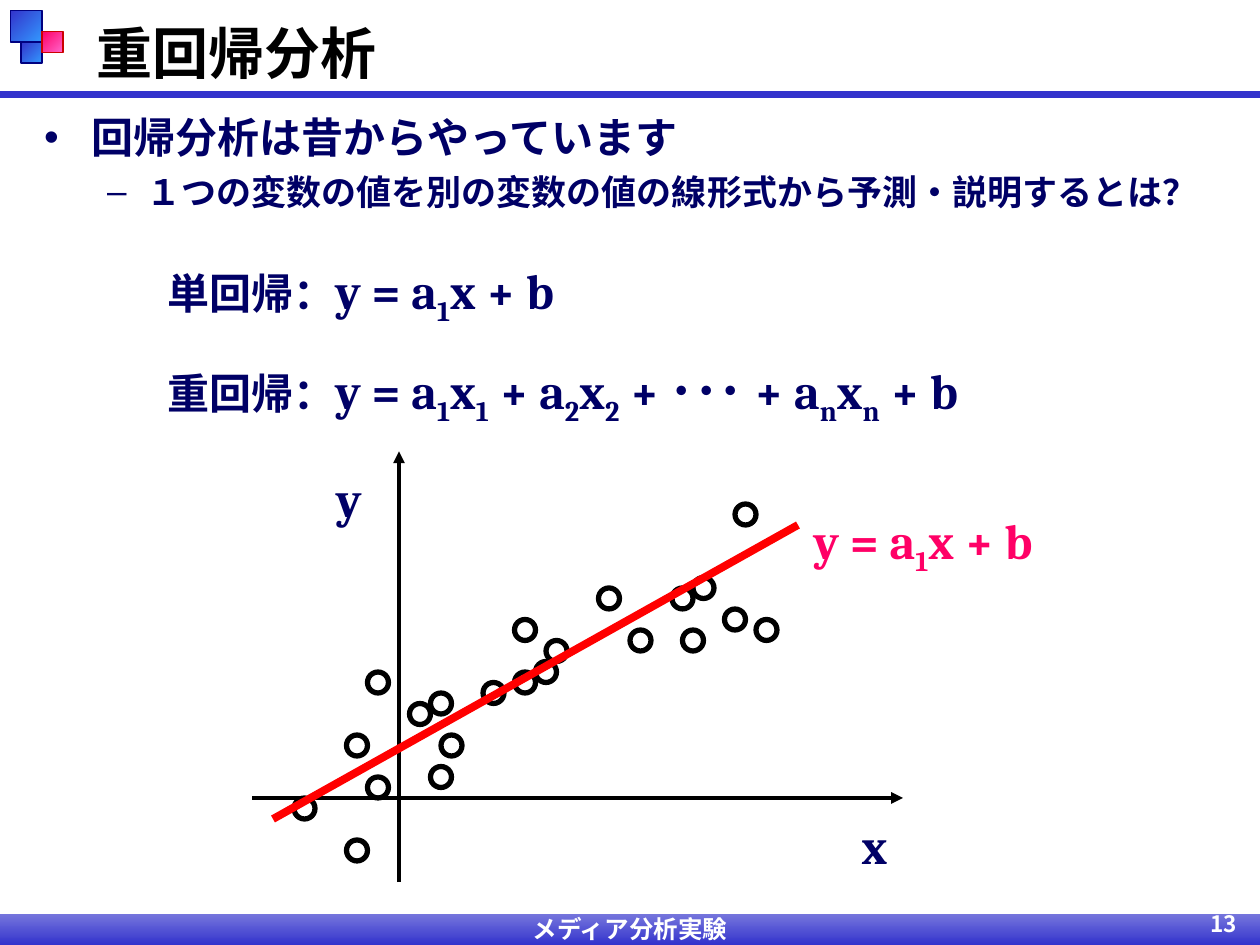
"""Build the multiple regression slide on a grid of 120 columns by 90 rows."""
from lxml.etree import SubElement
from pptx import Presentation
from pptx.dml.color import RGBColor
from pptx.enum.shapes import MSO_CONNECTOR, MSO_SHAPE
from pptx.enum.text import MSO_ANCHOR, MSO_AUTO_SIZE, PP_ALIGN
from pptx.oxml.ns import qn
from pptx.util import Inches, Pt

HUES = {
    "black": "000000", "white": "FFFFFF", "navy": "000066", "blue": "3333CC",
    "sky": "3399FF", "pale": "7777DD", "edge": "000080", "pink": "FF0066",
    "rose": "FF66CC", "wine": "CC0000", "red": "FF0000",
}
INK = {name: RGBColor.from_string(code) for name, code in HUES.items()}
GOTHIC, SERIF = "Noto Sans CJK JP", "Cambria"

deck = Presentation()
deck.slide_width, deck.slide_height = Inches(10), Inches(7.5)
unit = deck.slide_width / 120
slide = deck.slides.add_slide(deck.slide_layouts[1])
shapes = slide.shapes


def write(para, text, size, face, hue):
    """Add bold runs, with text between underscores set as subscript."""
    for pos, part in enumerate(text.split("_")):
        run = para.add_run()
        run.text = part
        font = run.font
        font.size, font.bold, font.name = Pt(size), True, face
        font.color.rgb = INK[hue]
        props = run._r.get_or_add_rPr()
        SubElement(props, qn("a:ea")).set("typeface", GOTHIC)
        if pos % 2:
            props.set("baseline", "-25000")


def draw(start, end, hue, width, arrow=False):
    """Add a straight line between two grid points."""
    ends = [round(n * unit) for n in (*start, *end)]
    line = shapes.add_connector(MSO_CONNECTOR.STRAIGHT, *ends)
    line.line.color.rgb, line.line.width = INK[hue], Pt(width)
    if arrow:
        SubElement(line.line._get_or_add_ln(), qn("a:tailEnd")).set("type", "triangle")
    SubElement(line._element.spPr, qn("a:effectLst"))


draw((0, 9), (120, 9), "blue", 4.5)
blocks = [
    ((0, 87, 120, 3), "pale", "blue", 270, None),
    ((2, 4, 2, 2), "blue", "sky", 315, "edge"),
    ((1, 1, 3, 3), "blue", "sky", 315, "edge"),
    ((4, 3, 2, 2), "pink", "rose", 315, "wine"),
]
for area, first, last, angle, edge in blocks:
    block = shapes.add_shape(MSO_SHAPE.RECTANGLE, *[round(n * unit) for n in area])
    block.shadow.inherit = False
    block.fill.gradient()
    block.fill.gradient_angle = angle
    for stop, hue in zip(block.fill.gradient_stops, (first, last)):
        stop.color.rgb = INK[hue]
    if edge:
        block.line.color.rgb, block.line.width = INK[edge], Pt(0.75)
    else:
        block.line.fill.background()

footers = [
    (41, 38, "メディア分析実験", 14, PP_ALIGN.CENTER, 1),
    (94, 25, "13", 12.9, PP_ALIGN.RIGHT, 0.9),
]
for left, width, text, size, align, space in footers:
    box = shapes.add_textbox(*[round(n * unit) for n in (left, 87, width, 3)])
    frame = box.text_frame
    frame.word_wrap = True
    frame.margin_top = frame.margin_bottom = 0
    para = frame.paragraphs[0]
    para.alignment, para.line_spacing = align, space
    write(para, text, size, GOTHIC, "white")

title, body = slide.placeholders
for holder, area in ((title, (8, 1, 102, 8)), (body, (3, 10, 115, 76))):
    holder.left, holder.top, holder.width, holder.height = [round(n * unit) for n in area]
    holder.text_frame.auto_size = MSO_AUTO_SIZE.NONE
title.text_frame.vertical_anchor = MSO_ANCHOR.MIDDLE
title.text_frame.paragraphs[0].alignment = PP_ALIGN.LEFT
write(title.text_frame.paragraphs[0], "重回帰分析", 32, GOTHIC, "black")

points = [
    ("回帰分析は昔からやっています", 24, "•", 0.38, 0.38, 0),
    ("１つの変数の値を別の変数の値の線形式から予測・説明するとは？", 20, "–", 0.81, 0.31, 5),
]
for level, (text, size, mark, left, hang, space) in enumerate(points):
    frame = body.text_frame
    para = frame.add_paragraph() if level else frame.paragraphs[0]
    para.level, para.space_before = level, Pt(space)
    props = para._p.get_or_add_pPr()
    props.set("marL", str(Inches(left)))
    props.set("indent", str(-Inches(hang)))
    tint = SubElement(props, qn("a:buClr"))
    SubElement(tint, qn("a:srgbClr")).set("val", HUES["navy"])
    SubElement(props, qn("a:buChar")).set("char", mark)
    write(para, text, size, GOTHIC, "navy")

models = shapes.add_textbox(Inches(1.23), Inches(1.75), Inches(7.39), Inches(1.7))
models.fill.solid()
models.fill.fore_color.rgb = INK["white"]
frame = models.text_frame
frame.word_wrap, frame.auto_size = False, MSO_AUTO_SIZE.SHAPE_TO_FIT_TEXT
forms = [
    ("単回帰：", "y = a_1_x + b"),
    ("重回帰：", "y = a_1_x_1_ + a_2_x_2_ + ･･･ + a_n_x_n_ + b"),
]
for row, (label, form) in enumerate(forms):
    para = frame.add_paragraph() if row else frame.paragraphs[0]
    para.line_spacing = 1.5
    write(para, label, 24, GOTHIC, "navy")
    write(para, form, 28, SERIF, "navy")

draw((24, 76), (86, 76), "black", 2.25, True)
draw((38, 84), (38, 43), "black", 2.25, True)
dots = [
    (66, 55), (33, 70), (65, 60), (57, 56), (51, 63), (60, 60), (52, 61), (46, 65),
    (28, 76), (69, 58), (41, 66), (33, 80), (49, 64), (42, 70), (35, 64), (39, 67),
    (35, 74), (70, 48), (72, 59), (64, 56), (41, 73), (49, 59),
]
for col, row in dots:
    dot = shapes.add_shape(MSO_SHAPE.OVAL, *[round(n * unit) for n in (col, row, 2, 2)])
    dot.shadow.inherit = False
    dot.fill.solid()
    dot.fill.fore_color.rgb = INK["white"]
    dot.line.color.rgb, dot.line.width = INK["black"], Pt(3)
draw((26, 78), (76, 50), "red", 4.5)

labels = [
    ("y", 2.57, 3.67, 0.44, 0.57, "navy"),
    ("x", 6.74, 6.42, 0.44, 0.57, "navy"),
    ("y = a_1_x + b", 6.36, 4, 2.21, 0.63, "pink"),
]
for text, *area, hue in labels:
    frame = shapes.add_textbox(*[Inches(n) for n in area]).text_frame
    frame.word_wrap, frame.auto_size = False, MSO_AUTO_SIZE.SHAPE_TO_FIT_TEXT
    write(frame.paragraphs[0], text, 28, SERIF, hue)

deck.save("out.pptx")
